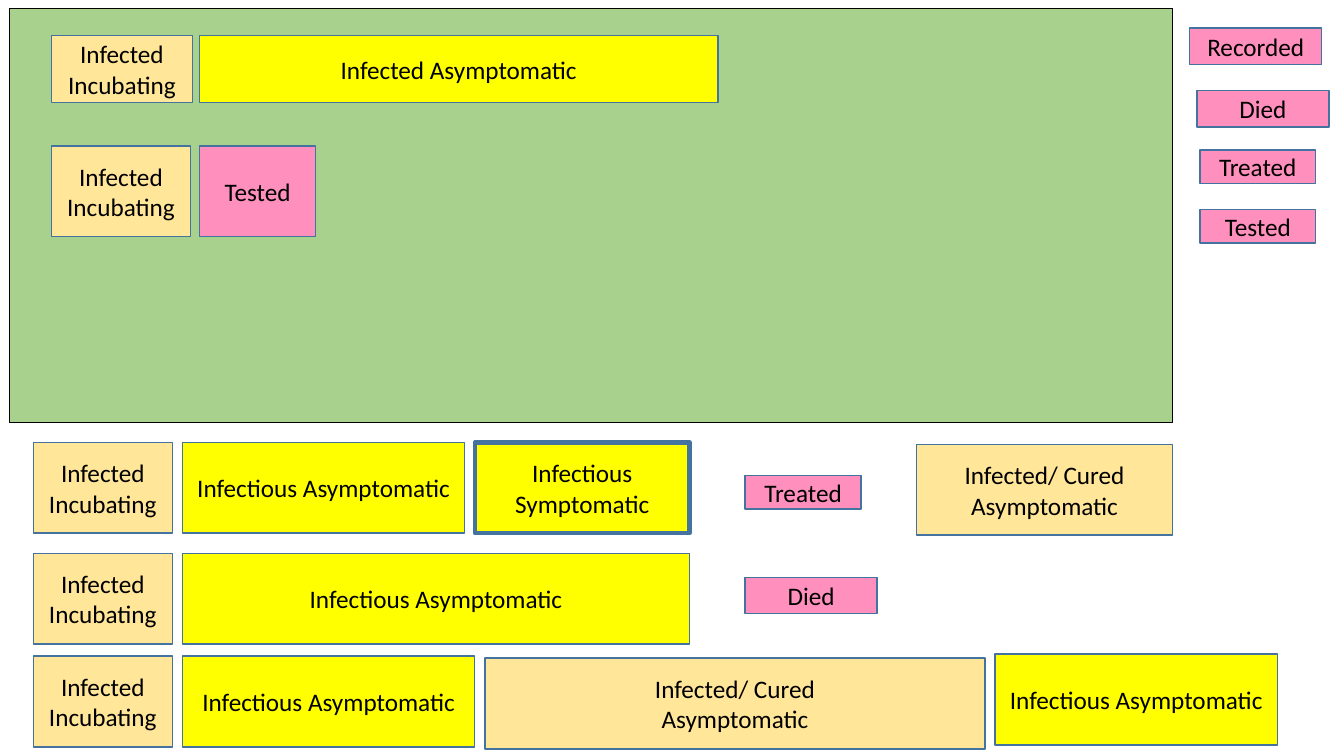
from pptx import Presentation
from pptx.dml.color import RGBColor
from pptx.enum.shapes import MSO_SHAPE
from pptx.enum.text import MSO_ANCHOR, PP_ALIGN
from pptx.util import Inches, Pt

PINK, SAND, YELLOW, GREEN = "FF8FBC", "FFE699", "FFFF00", "A9D18E"
BLUE, BLACK = "43739E", "000000"
THIN, NORMAL, THICK = 0.5, 1, 3.25

INCUBATING = "Infected Incubating"
ASYMPTOMATIC = "Infectious Asymptomatic"
CURED = "Infected/ Cured\nAsymptomatic"

PANEL = (0.09, 0.08, 11.54, 4.11)

# Event name: width, height
EVENTS = {
    "Recorded": (1.31, 0.36),
    "Died": (1.31, 0.36),
    "Treated": (1.15, 0.33),
    "Tested": (1.15, 0.33),
}
# Event name, left, top
EVENT_PLACES = [
    ("Recorded", 11.8, 0.28),
    ("Died", 11.87, 0.9),
    ("Treated", 11.9, 1.49),
    ("Tested", 11.9, 2.08),
    ("Treated", 7.39, 4.72),
    ("Died", 7.39, 5.73),
]

# Row top, row height, stages: text, fill, left, width, drop below row top, outline
STAGE_ROWS = [
    (0.35, 0.67, [
        (INCUBATING, SAND, 0.51, 1.4, 0, NORMAL),
        ("Infected Asymptomatic", YELLOW, 1.98, 5.14, 0, NORMAL),
    ]),
    (1.45, 0.9, [
        (INCUBATING, SAND, 0.51, 1.38, 0, NORMAL),
        ("Tested", PINK, 1.98, 1.15, 0, NORMAL),
    ]),
    (4.39, 0.9, [
        (INCUBATING, SAND, 0.33, 1.38, 0, NORMAL),
        (ASYMPTOMATIC, YELLOW, 1.81, 2.8, 0, NORMAL),
        ("Infectious Symptomatic", YELLOW, 4.71, 2.13, 0, THICK),
        (CURED, SAND, 9.09, 2.54, 0.02, NORMAL),
    ]),
    (5.49, 0.9, [
        (INCUBATING, SAND, 0.33, 1.38, 0, NORMAL),
        (ASYMPTOMATIC, YELLOW, 1.81, 5.03, 0, NORMAL),
    ]),
    (6.51, 0.9, [
        (INCUBATING, SAND, 0.33, 1.38, 0, NORMAL),
        (ASYMPTOMATIC, YELLOW, 1.81, 2.9, 0, NORMAL),
        (CURED, SAND, 4.81, 4.96, 0.02, NORMAL),
        (ASYMPTOMATIC, YELLOW, 9.87, 2.8, -0.02, NORMAL),
    ]),
]
FONT = {"name": "Calibri", "size": Pt(18)}


def paint(color_format, color):
    color_format.rgb = RGBColor.from_string(color)


def add_box(page, place, fill, text="", line=BLUE, line_width=NORMAL):
    box = page.shapes.add_shape(MSO_SHAPE.RECTANGLE, *map(Inches, place))
    box.shadow.inherit = False
    box.fill.solid()
    paint(box.fill.fore_color, fill)
    paint(box.line.color, line)
    box.line.width = Pt(line_width)
    if not text:
        return
    frame = box.text_frame
    frame.word_wrap = True
    frame.vertical_anchor = MSO_ANCHOR.MIDDLE
    frame.text = text
    for para in frame.paragraphs:
        para.alignment = PP_ALIGN.CENTER
        for span in para.runs:
            for name, value in FONT.items():
                setattr(span.font, name, value)
            paint(span.font.color, BLACK)


def main():
    deck = Presentation()
    deck.slide_width, deck.slide_height = Inches(13.33), Inches(7.5)
    blank_layout = deck.slide_layouts[6]
    page = deck.slides.add_slide(blank_layout)

    add_box(page, PANEL, GREEN, line=BLACK, line_width=THIN)
    for event, left, top in EVENT_PLACES:
        add_box(page, (left, top, *EVENTS[event]), PINK, event)
    for row_top, height, stages in STAGE_ROWS:
        for text, fill, left, width, drop, outline in stages:
            place = (left, row_top + drop, width, height)
            add_box(page, place, fill, text, line_width=outline)

    deck.save("out.pptx")


if __name__ == "__main__":
    main()
